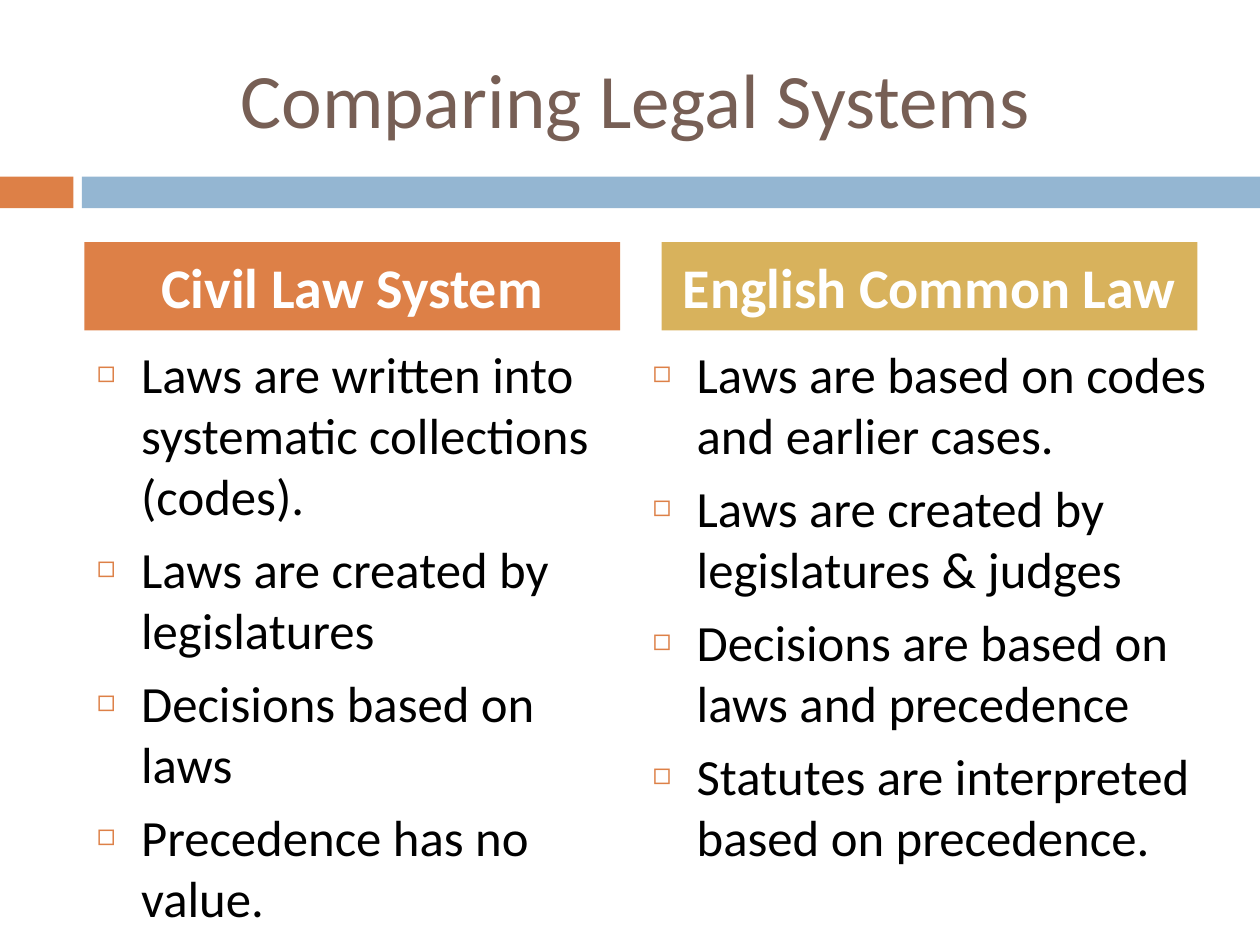
"""Build a slide that compares two legal systems."""
import pptx
import pptx.dml.color
import pptx.enum.shapes
import pptx.enum.text
import pptx.oxml
import pptx.util
from pptx.util import Cm, Pt

ORANGE, BLUE, GOLD = "DD8047", "94B6D2", "D8B25C"
BROWN, BLACK, WHITE = "775F55", "000000", "FFFFFF"
NS = 'xmlns:a="http://schemas.openxmlformats.org/drawingml/2006/main"'
BULLET = (
    f'<a:buClr {NS}><a:srgbClr val="{ORANGE}"/></a:buClr>',
    f'<a:buSzPct {NS} val="60000"/>',
    f'<a:buChar {NS} char="◻"/>',
)


def paint(color, code):
    """Set a colour format or a solid fill from a hex string."""
    if hasattr(color, "solid"):
        color.solid()
        color = color.fore_color
    color.rgb = pptx.dml.color.RGBColor.from_string(code)


def write(holder, box, lines, size, code, bold=False, bullets=False):
    """Place a placeholder and fill it with formatted paragraphs."""
    holder.left, holder.top, holder.width, holder.height = map(Cm, box)
    frame = holder.text_frame
    frame.text = "\n".join(lines)
    frame.word_wrap = True
    frame.auto_size = pptx.enum.text.MSO_AUTO_SIZE.NONE
    anchor, align = pptx.enum.text.MSO_ANCHOR, pptx.enum.text.PP_ALIGN
    frame.vertical_anchor = anchor.TOP if bullets else anchor.MIDDLE
    for rank, para in enumerate(frame.paragraphs):
        para.alignment = align.LEFT if bullets else align.CENTER
        para.space_before = Pt(7 if rank else 0)
        if bullets:
            props = para._p.get_or_add_pPr()
            props.set("marL", str(Cm(0.89)))
            props.set("indent", str(Cm(-0.89)))
            for part in BULLET:
                props.append(pptx.oxml.parse_xml(part))
        para.font.name = "Calibri"
        para.font.size = Pt(size)
        para.font.bold = bold
        paint(para.font.color, code)


deck = pptx.Presentation()
deck.slide_width, deck.slide_height = Cm(25.4), Cm(19.05)
slide = deck.slides.add_slide(deck.slide_layouts[4])
paint(slide.background.fill, WHITE)

for left, width, code in ((0, 1.48, ORANGE), (1.65, 23.75, BLUE)):
    bar = slide.shapes.add_shape(
        pptx.enum.shapes.MSO_SHAPE.RECTANGLE,
        Cm(left), Cm(3.56), Cm(width), Cm(0.64))
    bar.shadow.inherit = False
    paint(bar.fill, code)
    bar.line.fill.background()

write(slide.shapes.title, (1.48, 0.76, 22.66, 2.41),
      ["Comparing Legal Systems"], 44, BROWN)

systems = (
    (1, "Civil Law System", ORANGE, 1.7, (1.7, 6.78, 10.8, 11.35), (
        "Laws are written into systematic collections (codes).",
        "Laws are created by legislatures",
        "Decisions based on laws",
        "Precedence has no value.")),
    (3, "English Common Law", GOLD, 13.34, (12.9, 6.78, 12.07, 12.27), (
        "Laws are based on codes and earlier cases.",
        "Laws are created by legislatures & judges",
        "Decisions are based on laws and precedence",
        "Statutes are interpreted based on precedence.")),
)
for index, name, code, left, box, points in systems:
    head = slide.placeholders[index]
    write(head, (left, 4.88, 10.8, 1.78), [name], 32, WHITE, bold=True)
    paint(head.fill, code)
    write(slide.placeholders[index + 1], box, points, 29, BLACK, bullets=True)

deck.save("out.pptx")
